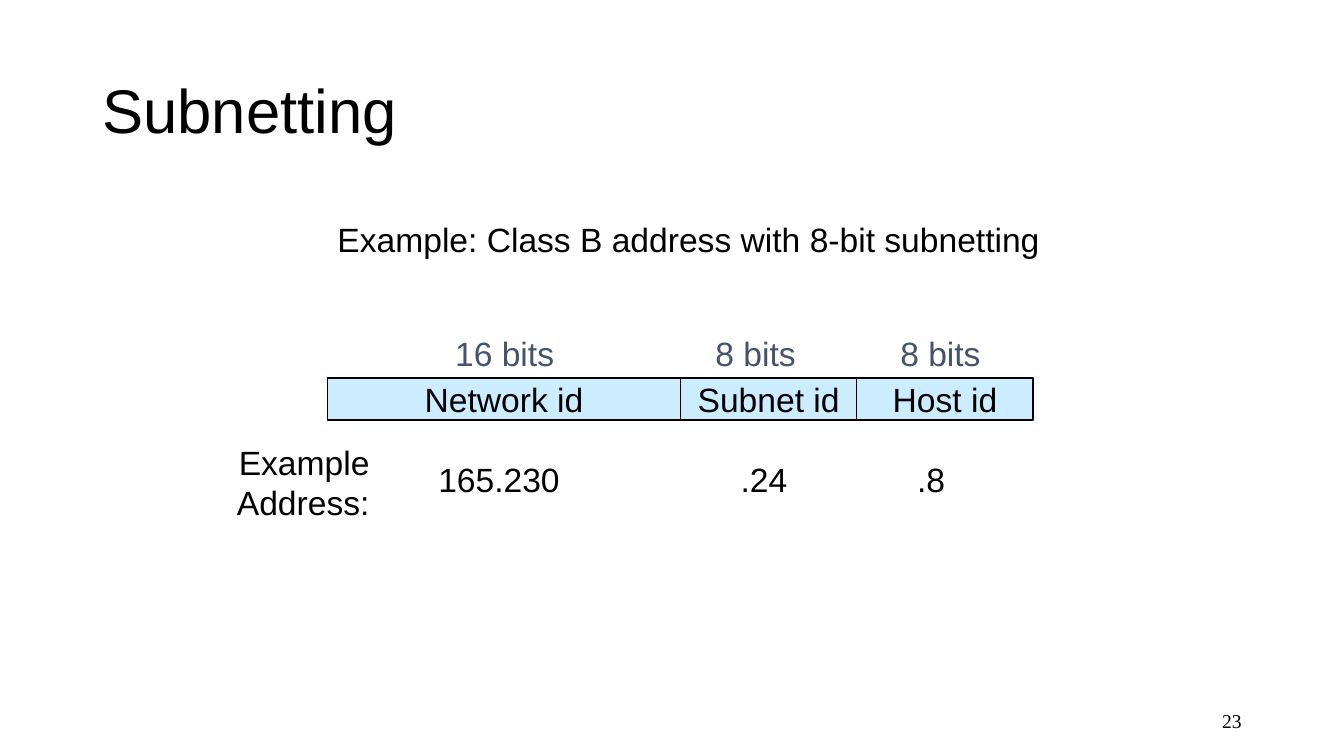
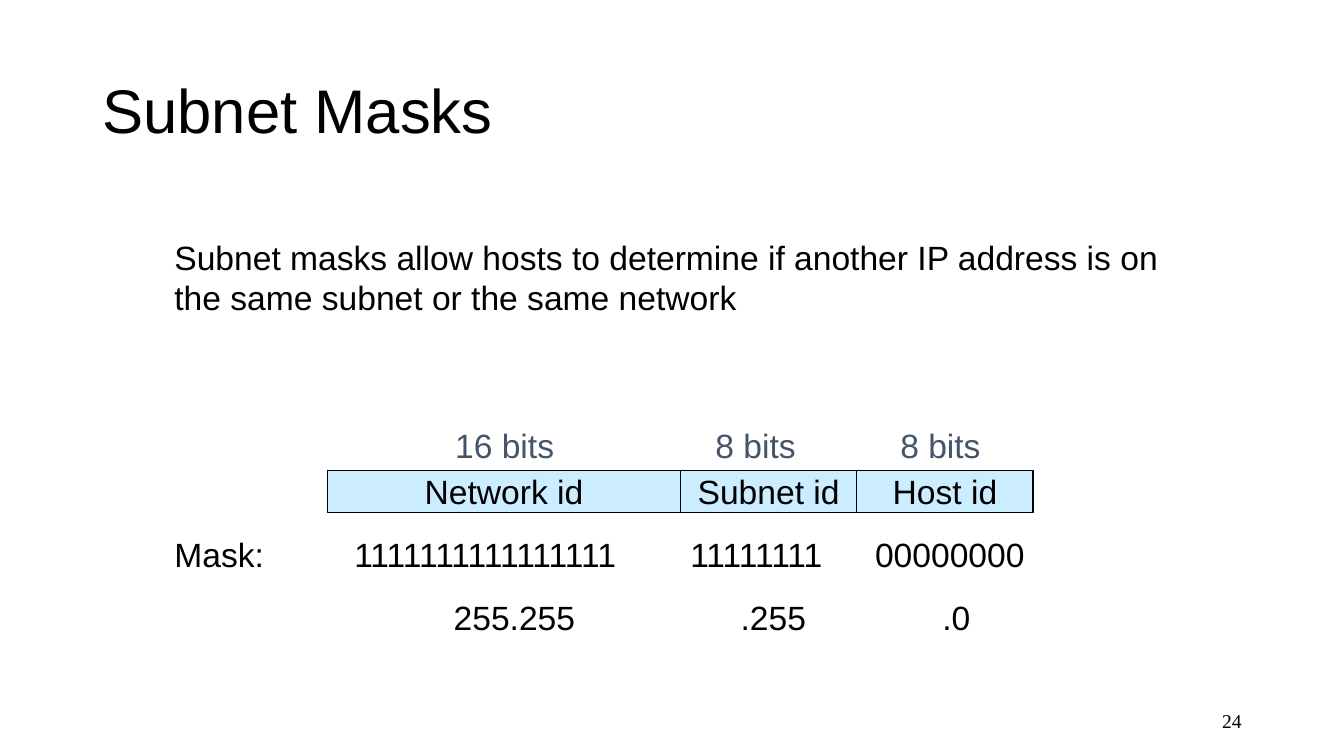
"""Builds two slides on IP subnetting and subnet masks."""
from pptx import Presentation
from pptx.dml.color import RGBColor
from pptx.enum.shapes import MSO_SHAPE
from pptx.enum.text import MSO_ANCHOR, MSO_AUTO_SIZE, PP_ALIGN
from pptx.util import Pt

RECTANGLE = MSO_SHAPE.RECTANGLE
MIDDLE = MSO_ANCHOR.MIDDLE
GROW = MSO_AUTO_SIZE.SHAPE_TO_FIT_TEXT
LEFT, CENTER, RIGHT = PP_ALIGN.LEFT, PP_ALIGN.CENTER, PP_ALIGN.RIGHT

COLORS = {"text": "000000", "bits": "44546A", "field": "CCECFF"}
FONT, NUMBER_FONT = "Arial", "Times New Roman"
TITLE_SIZE, TEXT_SIZE, NUMBER_SIZE = 44, 24, 14

ROW_HEIGHT, FIELD_HEIGHT = 36, 30
ADDRESS_LEFT, BIT_WIDTH = 234, 15.75
ADDRESS_FIELDS = [("Network id", 16), ("Subnet id", 8), ("Host id", 8)]
BIT_LABELS = [("16 bits", 318, 85), ("8 bits", 504, 72), ("8 bits", 636, 72)]


def color(key):
    return RGBColor.from_string(COLORS[key])


def format_text(frame, align=LEFT, size=TEXT_SIZE, font=FONT, ink="text"):
    for paragraph in frame.paragraphs:
        paragraph.alignment = align
        for run in paragraph.runs:
            run.font.size = Pt(size)
            run.font.name = font
            run.font.color.rgb = color(ink)


def add_label(slide, text, left, top, width, height=ROW_HEIGHT, wrap=False, **style):
    label = slide.shapes.add_textbox(Pt(left), Pt(top), Pt(width), Pt(height))
    frame = label.text_frame
    frame.text = text
    frame.word_wrap = wrap
    frame.auto_size = GROW
    format_text(frame, **style)


def add_row(slide, top, entries, **style):
    for text, left, width in entries:
        add_label(slide, text, left, top, width, **style)


def add_field(slide, name, left, top, width):
    field = slide.shapes.add_shape(RECTANGLE, Pt(left), Pt(top), Pt(width), Pt(FIELD_HEIGHT))
    field.shadow.inherit = False
    field.fill.solid()
    field.fill.fore_color.rgb = color("field")
    field.line.color.rgb = color("text")
    field.line.width = Pt(1)
    frame = field.text_frame
    frame.text = name
    frame.word_wrap = False
    frame.vertical_anchor = MIDDLE
    format_text(frame, align=CENTER)


def add_address(slide, top):
    add_row(slide, top - ROW_HEIGHT, BIT_LABELS, ink="bits")
    left = ADDRESS_LEFT
    for name, bits in ADDRESS_FIELDS:
        width = bits * BIT_WIDTH
        add_field(slide, name, left, top, width)
        left += width


def add_page_number(slide, number):
    page = slide.shapes.add_textbox(Pt(678), Pt(500.5), Pt(216), Pt(28.75))
    frame = page.text_frame
    frame.text = str(number)
    frame.word_wrap = True
    frame.vertical_anchor = MIDDLE
    format_text(frame, align=RIGHT, size=NUMBER_SIZE, font=NUMBER_FONT)


def place_title(layout):
    title = layout.placeholders[0]
    title.left, title.top, title.width, title.height = Pt(66), Pt(28.75), Pt(828), Pt(104.4)
    title.text_frame.vertical_anchor = MIDDLE


def add_slide(deck, layout, heading, number):
    slide = deck.slides.add_slide(layout)
    frame = slide.shapes.title.text_frame
    frame.text = heading
    frame.paragraphs[0].line_spacing = 0.9
    format_text(frame, size=TITLE_SIZE)
    add_page_number(slide, number)
    return slide


def build_subnetting(deck, layout):
    slide = add_slide(deck, layout, "Subnetting", 23)
    add_label(slide, "Example: Class B address with 8-bit subnetting", 234, 153, 521)
    add_address(slide, 270)
    add_label(slide, "Example\nAddress:", 161, 312, 110, 65.5, align=RIGHT)
    add_row(slide, 324, [("165.230", 306, 102), (".24", 522, 47.5), (".8", 648, 34.5)])


def build_masks(deck, layout):
    slide = add_slide(deck, layout, "Subnet Masks", 24)
    purpose = ("Subnet masks allow hosts to determine if another IP address is on "
               "the same subnet or the same network")
    add_label(slide, purpose, 117.5, 165.5, 720, 65.5, wrap=True)
    add_address(slide, 336)
    add_row(slide, 378, [("Mask:", 117.5, 78.5), ("1111111111111111", 246, 204),
                         ("11111111", 486, 110), ("00000000", 618, 122.5)])
    add_row(slide, 423, [("255.255", 317, 102), (".255", 522, 61), (".0", 666, 34.5)])


def main():
    deck = Presentation()
    deck.slide_width, deck.slide_height = Pt(960), Pt(540)
    title_only = deck.slide_layouts[5]
    place_title(title_only)
    build_subnetting(deck, title_only)
    build_masks(deck, title_only)
    deck.save("out.pptx")


if __name__ == "__main__":
    main()
